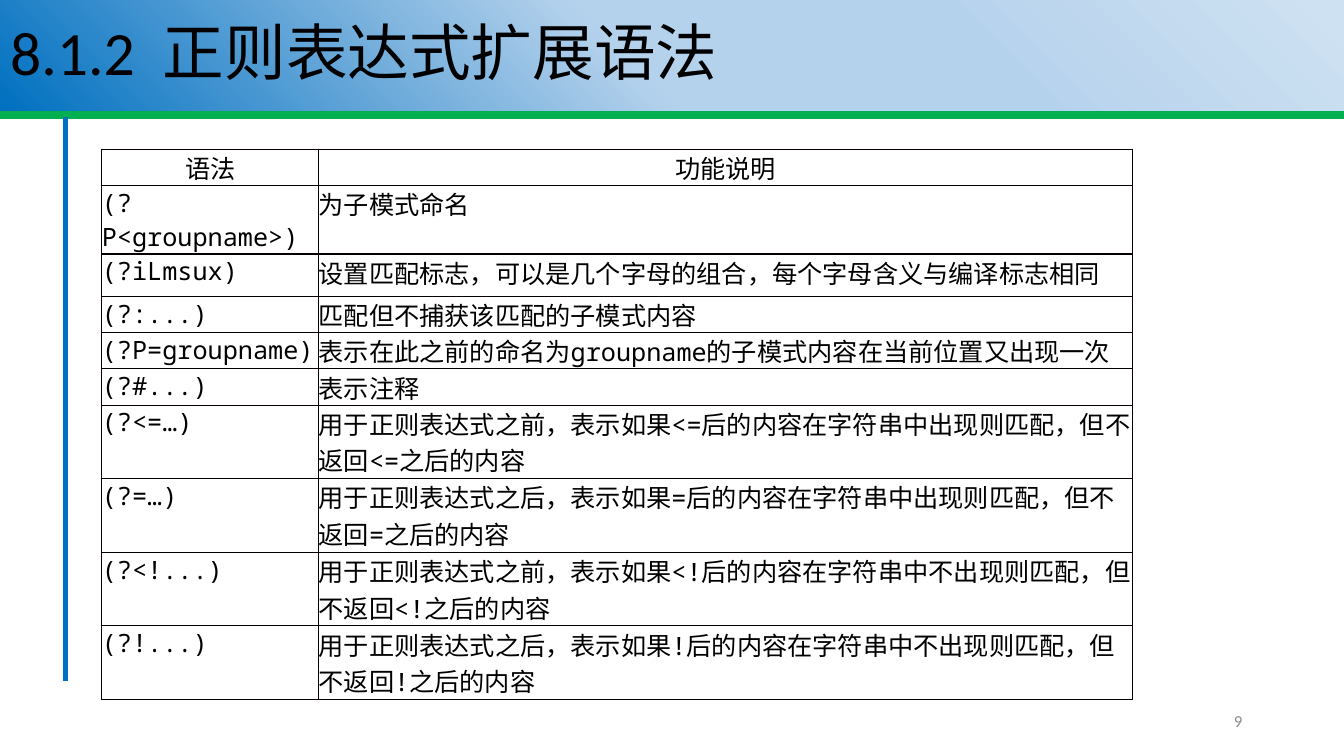
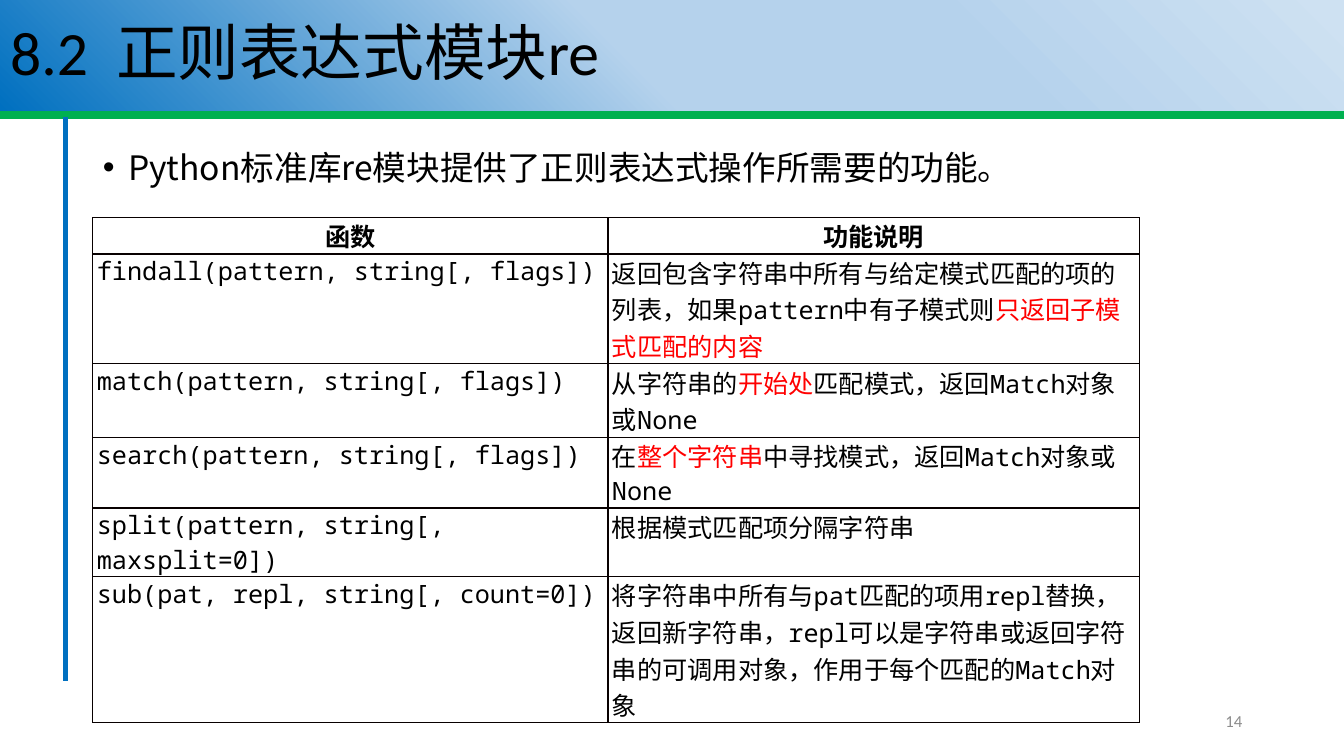
from dataclasses import dataclass

from lxml import etree as et
from pptx import Presentation
from pptx import util as u
from pptx.dml import color as dc
from pptx.enum import shapes as es
from pptx.enum import text as tx
from pptx.oxml import ns

INK = {
    "text": "000000", "red": "FF0000", "gray": "8C8C8C", "edge": "080000",
    "green": "00B050", "blue": "0070C0", "pale": "CEE1F2", "sky": "B5D2EC",
}
HEAD, HAN, MONO = "Calibri", "Noto Sans CJK SC", "Noto Sans Mono"
FADE = [(1, "pale"), (29, "sky"), (53, "sky"), (100, "blue")]


@dataclass(frozen=True)
class Rule:
    start: tuple[float, float]
    end: tuple[float, float]
    ink: str
    width: float


@dataclass(frozen=True)
class Grid:
    left: float
    top: float
    cols: list[float]
    tall: list[float]
    inset: float
    bold: bool
    rows: list[tuple[str, str]]


@dataclass(frozen=True)
class Page:
    title: str
    number: int
    grid: Grid
    point: str = ""


RULES = [
    Rule((0, 1.14), (13.33, 1.14), "green", 5.25),
    Rule((0.65, 1.16), (0.65, 6.76), "blue", 3.75),
]

PAGES = [
    Page("8.1.2  正则表达式扩展语法", 9, Grid(
        1.01, 1.48, [2.15, 8.07], [0.36, 0.68, 0.42] + [0.36] * 3 + [0.73] * 4,
        0, False, [
            ("语法", "功能说明"),
            ("(?P<groupname>)", "为子模式命名"),
            ("(?iLmsux)", "设置匹配标志，可以是几个字母的组合，每个字母含义与编译标志相同"),
            ("(?:...)", "匹配但不捕获该匹配的子模式内容"),
            ("(?P=groupname)", "表示在此之前的命名为groupname的子模式内容在当前位置又出现一次"),
            ("(?#...)", "表示注释"),
            ("(?<=…)", "用于正则表达式之前，表示如果<=后的内容在字符串中出现则匹配，但不返回<=之后的内容"),
            ("(?=…)", "用于正则表达式之后，表示如果=后的内容在字符串中出现则匹配，但不返回=之后的内容"),
            ("(?<!...)", "用于正则表达式之前，表示如果<!后的内容在字符串中不出现则匹配，但不返回<!之后的内容"),
            ("(?!...)", "用于正则表达式之后，表示如果!后的内容在字符串中不出现则匹配，但不返回!之后的内容"),
        ])),
    Page("8.2  正则表达式模块re", 14, Grid(
        0.92, 2.16, [5.11, 5.27], [0.36, 1.09, 0.73, 0.7, 0.68, 1.45], 0.04, True, [
            ("函数", "功能说明"),
            ("findall(pattern, string[, flags])",
             "返回包含字符串中所有与给定模式匹配的项的列表，如果pattern中有子模式则|只返回子模式匹配的内容"),
            ("match(pattern, string[, flags])", "从字符串的|开始处|匹配模式，返回Match对象或None"),
            ("search(pattern, string[, flags])", "在|整个字符串|中寻找模式，返回Match对象或None"),
            ("split(pattern, string[, maxsplit=0])", "根据模式匹配项分隔字符串"),
            ("sub(pat, repl, string[, count=0])",
             "将字符串中所有与pat匹配的项用repl替换，返回新字符串，repl可以是字符串或返回字符串的可调用对象，"
             "作用于每个匹配的Match对象"),
        ]), "Python标准库re模块提供了正则表达式操作所需要的功能。"),
]


def rgb(ink: str) -> dc.RGBColor:
    return dc.RGBColor.from_string(INK[ink])


def node(parent, tag: str, **attrs: str):
    return et.SubElement(parent, ns.qn(tag), attrs)


def style(run, size: float, face: str, ink: str = "text", bold: bool = False) -> None:
    font = run.font
    font.size, font.name, font.bold = u.Pt(size), face, bold
    font.color.rgb = rgb(ink)
    node(run._r.get_or_add_rPr(), "a:ea", typeface=HAN)


def place(shape, left: float, top: float, width: float, height: float) -> None:
    shape.left, shape.top = u.Inches(left), u.Inches(top)
    shape.width, shape.height = u.Inches(width), u.Inches(height)


def add_rule(slide, master, rule: Rule) -> None:
    ends = [u.Inches(n) for n in rule.start + rule.end]
    line = slide.shapes.add_connector(es.MSO_CONNECTOR.STRAIGHT, *ends)
    line.line.color.rgb = rgb(rule.ink)
    line.line.width = u.Pt(rule.width)
    node(line.element.spPr, "a:effectLst")
    master.shapes.element.append(line.element)


def add_title(slide, words: str) -> None:
    title = slide.shapes.title
    place(title, 0, 0, 13.33, 1.1)
    fade = node(title.element.spPr, "a:gradFill", rotWithShape="1")
    stops = node(fade, "a:gsLst")
    for pos, ink in FADE:
        stop = node(stops, "a:gs", pos=str(pos * 1000))
        node(stop, "a:srgbClr", val=INK[ink])
    node(fade, "a:lin", ang=str(135 * 60000), scaled="0")
    frame = title.text_frame
    frame.text = words
    frame.auto_size = tx.MSO_AUTO_SIZE.NONE
    frame.vertical_anchor = tx.MSO_ANCHOR.MIDDLE
    para = frame.paragraphs[0]
    para.alignment, para.line_spacing = tx.PP_ALIGN.LEFT, 0.9
    style(para.runs[0], 44, HEAD)


def add_point(slide, words: str) -> None:
    body = slide.placeholders[1]
    place(body, 0.92, 1.45, 11.5, 5.07)
    frame = body.text_frame
    frame.text = words
    frame.auto_size = tx.MSO_AUTO_SIZE.NONE
    para = frame.paragraphs[0]
    para.line_spacing, para.space_before = 0.9, u.Pt(10)
    props = para._p.get_or_add_pPr()
    props.set("marL", str(u.Inches(0.25)))
    props.set("indent", str(-u.Inches(0.25)))
    style(para.runs[0], 24, HAN)


def add_number(slide, number: int) -> None:
    box = slide.shapes.add_textbox(0, 0, 0, 0)
    place(box, 9.42, 6.95, 3, 0.4)
    frame = box.text_frame
    frame.word_wrap = True
    frame.vertical_anchor = tx.MSO_ANCHOR.MIDDLE
    frame.text = str(number)
    para = frame.paragraphs[0]
    para.alignment = tx.PP_ALIGN.RIGHT
    style(para.runs[0], 12, HEAD, "gray")


def fill_cell(cell, words: str, grid: Grid, head: bool) -> None:
    cell.margin_left = u.Inches(0 if head else grid.inset)
    cell.margin_right = cell.margin_top = cell.margin_bottom = 0
    para = cell.text_frame.paragraphs[0]
    para.alignment = tx.PP_ALIGN.CENTER if head else tx.PP_ALIGN.LEFT
    for i, part in enumerate(words.split("|")):
        run = para.add_run()
        run.text = part
        style(run, 18, HAN if head else MONO, "red" if i % 2 else "text",
              head and grid.bold)
    props = cell._tc.get_or_add_tcPr()
    for side in "LRTB":
        edge = node(props, f"a:ln{side}", w=str(u.Pt(1)))
        node(node(edge, "a:solidFill"), "a:srgbClr", val=INK["edge"])
    cell.fill.background()


def add_grid(slide, grid: Grid) -> None:
    box = [u.Inches(n) for n in (grid.left, grid.top, sum(grid.cols), sum(grid.tall))]
    table = slide.shapes.add_table(len(grid.rows), len(grid.cols), *box).table
    table.first_row = table.horz_banding = False
    for col, width in zip(table.columns, grid.cols):
        col.width = u.Inches(width)
    for r, (row, tall) in enumerate(zip(grid.rows, grid.tall)):
        table.rows[r].height = u.Inches(tall)
        for c, words in enumerate(row):
            fill_cell(table.cell(r, c), words, grid, r == 0)


def main() -> None:
    deck = Presentation()
    deck.slide_width, deck.slide_height = u.Inches(13.33), u.Inches(7.5)
    for page in PAGES:
        slide = deck.slides.add_slide(deck.slide_layouts[1 if page.point else 5])
        add_title(slide, page.title)
        if page.point:
            add_point(slide, page.point)
        add_number(slide, page.number)
        add_grid(slide, page.grid)
    for rule in RULES:
        add_rule(deck.slides[0], deck.slide_master, rule)
    deck.save("out.pptx")


if __name__ == "__main__":
    main()
